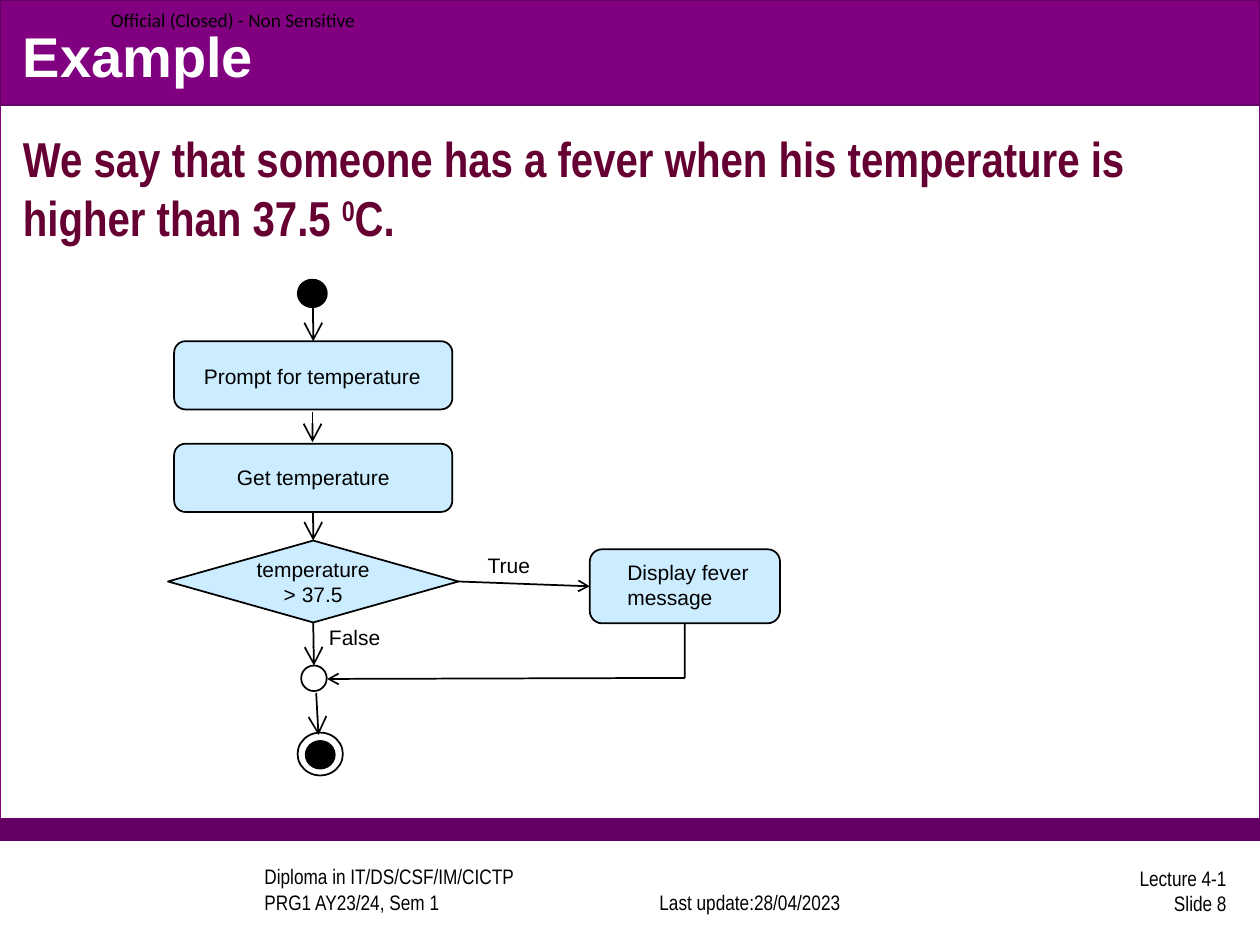
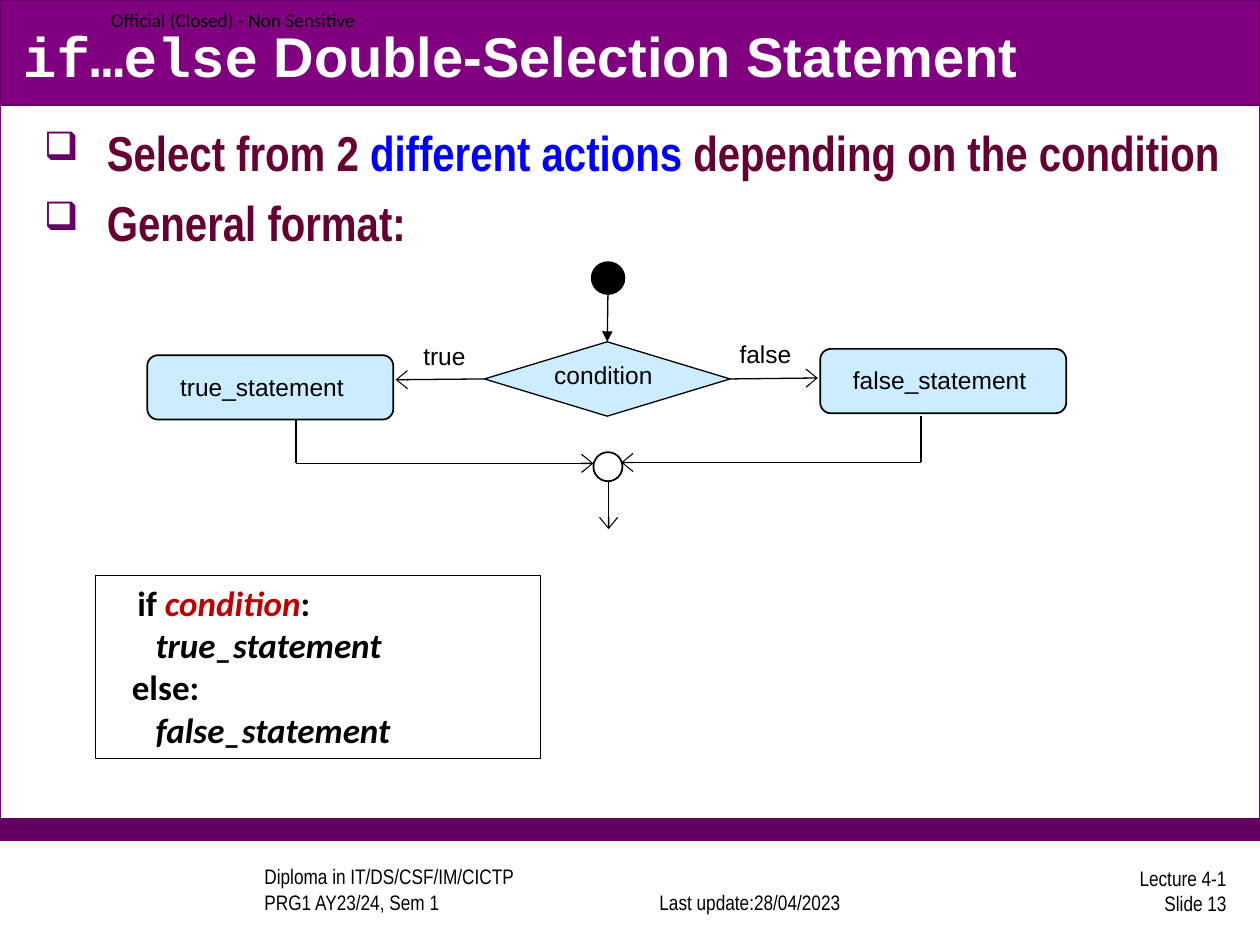
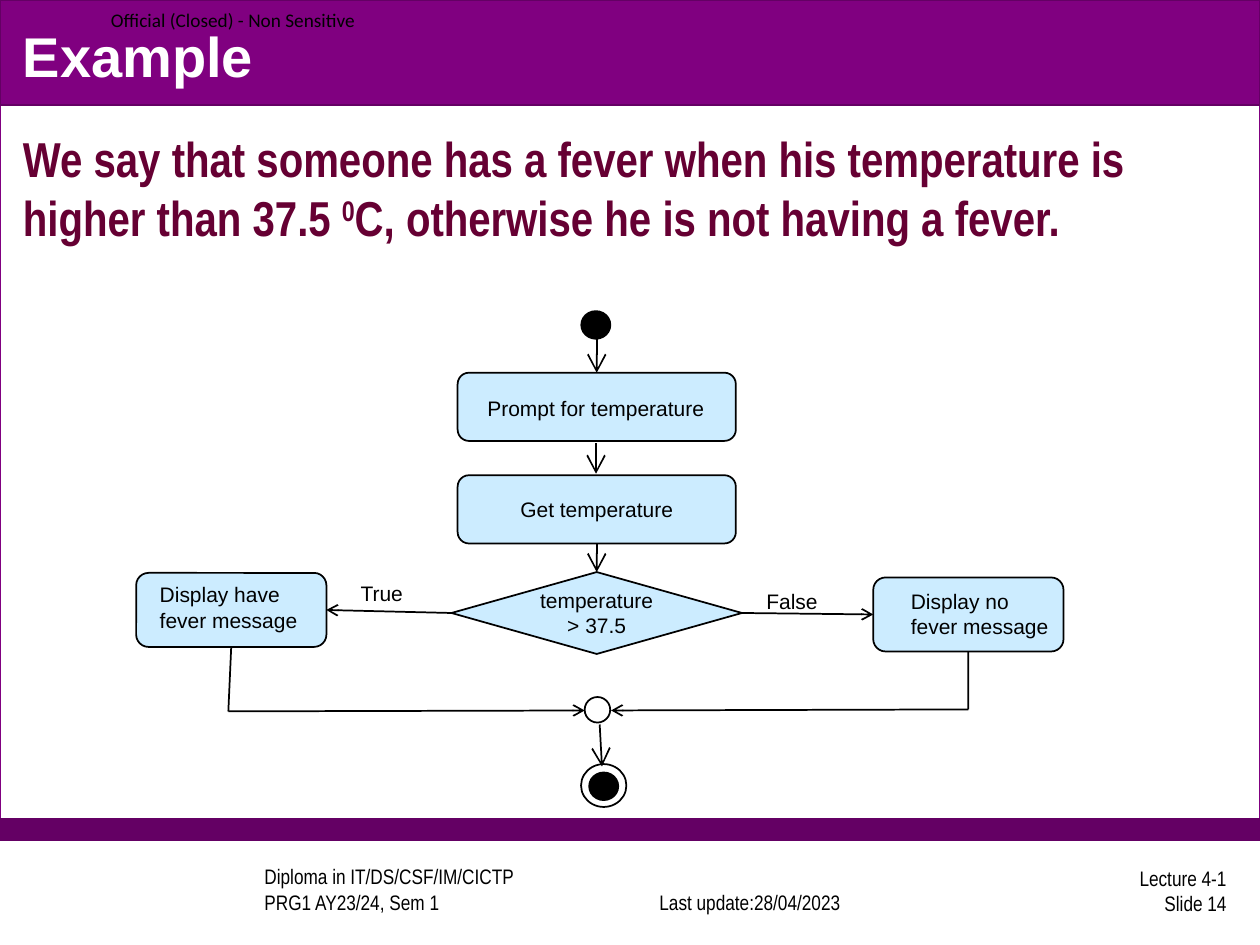
from lxml import etree
from pptx import Presentation
from pptx.dml.color import RGBColor
from pptx.enum import shapes as sh, text as tx
from pptx.oxml import ns
from pptx.util import Pt

PURPLE = RGBColor(0x80, 0x00, 0x80)
DARK_PURPLE = RGBColor(0x64, 0x00, 0x64)
PLUM = RGBColor(0x66, 0x00, 0x33)
SKY = RGBColor(0xCC, 0xEC, 0xFF)
BLUE = RGBColor(0x00, 0x00, 0xFF)
RED = RGBColor(0xC0, 0x00, 0x00)
BLACK = RGBColor(0x00, 0x00, 0x00)
WHITE = RGBColor(0xFF, 0xFF, 0xFF)

BODY_FONT = "Arial Narrow"
KIND = sh.MSO_SHAPE
ALIGN = tx.PP_ALIGN
ANCHOR = tx.MSO_ANCHOR
LARGE = ("lg", "lg")
MEDIUM = ("med", "med")
WIDE = ("lg", "med")


def style(r, size, color=BLACK, font="Arial", bold=False, italic=False, raised=False):
    f = r.font
    f.size, f.name, f.bold, f.italic = Pt(size), font, bold, italic
    f.color.rgb = color
    if raised:
        r._r.get_or_add_rPr().set("baseline", "30000")


def add_runs(p, runs, **base):
    for content, changes in runs:
        r = p.add_run()
        r.text = content
        style(r, **{**base, **changes})


def text_box(s, x, y, w, h, anchor=ANCHOR.TOP, wrap=True, inset=True):
    tf = s.shapes.add_textbox(Pt(x), Pt(y), Pt(w), Pt(h)).text_frame
    tf.word_wrap, tf.vertical_anchor = wrap, anchor
    if not inset:
        tf.margin_left = tf.margin_right = tf.margin_top = tf.margin_bottom = 0
    return tf


def label(s, text, x, y, w, h=21.6, size=12, font="Arial", align=ALIGN.LEFT, **options):
    p = text_box(s, x, y, w, h, **options).paragraphs[0]
    p.text = text
    p.alignment = align
    for r in p.runs:
        style(r, size, font=font)


def shape(s, kind, x, y, w, h, fill=None, line=BLACK, width=1):
    sp = s.shapes.add_shape(kind, Pt(x), Pt(y), Pt(w), Pt(h))
    sp.shadow.inherit = False
    if fill is None:
        sp.fill.background()
    else:
        sp.fill.solid()
        sp.fill.fore_color.rgb = fill
    sp.line.color.rgb = line
    sp.line.width = Pt(width)
    return sp


def circle(s, cx, cy, w, h, fill=None):
    return shape(s, KIND.OVAL, cx - w / 2, cy - h / 2, w, h, fill)


def connect(s, begin, end, size=None, head="arrow", width=1):
    joined = [not isinstance(e[0], (int, float)) for e in (begin, end)]
    (x1, y1), (x2, y2) = [(0, 0) if j else e for j, e in zip(joined, (begin, end))]
    c = s.shapes.add_connector(sh.MSO_CONNECTOR.STRAIGHT, Pt(x1), Pt(y1), Pt(x2), Pt(y2))
    if joined[0]:
        c.begin_connect(*begin)
    if joined[1]:
        c.end_connect(*end)
    c.line.color.rgb = BLACK
    c.line.width = Pt(width)
    if size:
        tail = etree.SubElement(c.line._get_or_add_ln(), ns.qn("a:tailEnd"))
        tail.set("type", head)
        tail.set("w", size[0])
        tail.set("len", size[1])
    etree.SubElement(c._element.spPr, ns.qn("a:effectLst"))


def elbow(s, begin, corner, tip, size=MEDIUM, width=1):
    connect(s, begin, corner, width=width)
    connect(s, corner, tip, size, width=width)


def add_bullet(p):
    pPr = p._p.get_or_add_pPr()
    pPr.set("marL", str(Pt(36)))
    pPr.set("indent", str(Pt(-36)))
    color = etree.SubElement(pPr, ns.qn("a:buClr"))
    etree.SubElement(color, ns.qn("a:srgbClr")).set("val", "660066")
    etree.SubElement(pPr, ns.qn("a:buSzPct")).set("val", "80000")
    etree.SubElement(pPr, ns.qn("a:buChar")).set("char", "❑")


def add_slide(prs, number, title):
    s = prs.slides.add_slide(prs.slide_layouts[6])
    shape(s, KIND.RECTANGLE, 0, 0, 720, 480, WHITE, PURPLE, 0.75)
    shape(s, KIND.RECTANGLE, 0, 468, 720, 12, DARK_PURPLE, DARK_PURPLE, 0.75)
    shape(s, KIND.RECTANGLE, 0, 0, 720, 60, PURPLE, DARK_PURPLE, 0.75)
    label(s, "Diploma in IT/DS/CSF/IM/CICTP\nPRG1 AY23/24, Sem 1", 144, 496, 192, 30,
          font=BODY_FONT, anchor=ANCHOR.BOTTOM)
    label(s, "Last update:28/04/2023", 353.5, 496, 150, 30,
          font=BODY_FONT, align=ALIGN.CENTER, anchor=ANCHOR.BOTTOM)
    label(s, f"Lecture 4-1\nSlide {number}", 558, 494, 150, 30,
          font=BODY_FONT, align=ALIGN.RIGHT, anchor=ANCHOR.MIDDLE)
    label(s, "Official (Closed) - Non Sensitive", 63.4, 0, 153.4, 22.3, size=11,
          font="Calibri", anchor=ANCHOR.MIDDLE, inset=False)
    tf = text_box(s, 6, 9.4, 708, 44.6, ANCHOR.MIDDLE)
    add_runs(tf.paragraphs[0], title, size=32, color=WHITE, bold=True)
    return s


def add_statement(s, ending):
    p = text_box(s, 6, 70, 708, 392).paragraphs[0]
    add_runs(p, [("We say that someone has a fever when his temperature is higher than 37.5 ", {}),
                 ("0", {"raised": True}), (ending, {})],
             size=28, color=PLUM, font=BODY_FONT, bold=True)


def add_fever_flow(s, dx, dy):
    cx = 179 + dx
    circle(s, cx - 0.5, 167.7 + dy, 16.6, 15.8, BLACK)
    prompt, get = [shape(s, KIND.ROUNDED_RECTANGLE, cx - 79.5, y + dy, 159, 39, SKY)
                   for y in (195, 253.6)]
    label(s, "Prompt for temperature", 109.4 + dx, 204.5 + dy, 162)
    label(s, "Get temperature", cx - 79.5, 262.1 + dy, 159, align=ALIGN.CENTER)
    decision = shape(s, KIND.DIAMOND, cx - 83, 308.9 + dy, 166, 46.8, SKY)
    tf = decision.text_frame
    tf.word_wrap, tf.vertical_anchor = True, ANCHOR.MIDDLE
    p = tf.paragraphs[0]
    p.text, p.alignment = "temperature > 37.5", ALIGN.CENTER
    style(p.runs[0], 12)
    circle(s, cx + 0.4, 387.6 + dy, 14.6, 14.6)
    circle(s, cx + 4, 430.9 + dy, 25.9, 24.5)
    circle(s, cx + 4, 431.3 + dy, 16.6, 15.8, BLACK)
    connect(s, (cx, 176 + dy), (prompt, 0), LARGE)
    connect(s, (cx - 0.4, 235.4 + dy), (cx - 0.4, 252.7 + dy), LARGE)
    connect(s, (get, 2), (decision, 0), LARGE)
    connect(s, (cx + 1.7, 396 + dy), (cx + 3, 420 + dy), LARGE)
    return decision


def add_outcome(s, text, x, y, text_x, text_y):
    box = shape(s, KIND.ROUNDED_RECTANGLE, x, y, 108.7, 42.3, SKY)
    label(s, text, text_x, text_y, 99.4, 36)
    return box


def add_answer(s, text, x, y, w):
    label(s, text, x, y, w, align=ALIGN.CENTER, wrap=False)


def add_single_selection(prs):
    s = add_slide(prs, 8, [("Example", {})])
    add_statement(s, "C.")
    decision = add_fever_flow(s, 0, 0)
    fever = add_outcome(s, "Display fever message", 337, 313.9, 351.4, 316.1)
    connect(s, (decision, 3), (fever, 1), MEDIUM)
    connect(s, (decision, 2), (179.4, 380.3), LARGE)
    add_answer(s, "True", 271.4, 312.5, 38.9)
    add_answer(s, "False", 180.7, 353.5, 43.9)
    elbow(s, (fever, 2), (391.3, 387.4), (187, 388))


def add_double_selection(prs):
    s = add_slide(prs, 13, [("if…else", {"font": "Courier New"}),
                            (" Double-Selection Statement", {})])
    tf = text_box(s, 18, 66.2, 690, 408)
    points = [[("Select from 2 ", {}), ("different actions ", {"color": BLUE}),
               ("depending on the condition", {})],
              [("General format:", {})]]
    for i, runs in enumerate(points):
        p = tf.add_paragraph() if i else tf.paragraphs[0]
        p.alignment = ALIGN.JUSTIFY
        if i:
            p.space_before = Pt(6.4)
        add_bullet(p)
        add_runs(p, runs, size=28, color=PLUM, font=BODY_FONT, bold=True)

    code = shape(s, KIND.RECTANGLE, 54.7, 329, 254.2, 104.4, WHITE, width=0.75)
    tf = code.text_frame
    tf.word_wrap, tf.vertical_anchor = True, ANCHOR.TOP
    lines = [[("   ", {"font": "Arial", "bold": False}), ("if ", {}),
              ("condition", {"color": RED, "italic": True}), (":", {})],
             [("      true_statement", {"italic": True})],
             [("   else:", {})],
             [("      false_statement", {"italic": True})]]
    for i, runs in enumerate(lines):
        p = tf.add_paragraph() if i else tf.paragraphs[0]
        p.alignment = ALIGN.LEFT
        add_runs(p, runs, size=20, font="Calibri", bold=True)

    decision = shape(s, KIND.FLOWCHART_DECISION, 276.8, 195.3, 140.4, 42.5, SKY, width=0.75)
    label(s, "condition", 309.6, 202.3, 82, 28.8, size=14)
    circle(s, 347.5, 158.9, 18.7, 18.2, BLACK)
    circle(s, 347.4, 266.7, 16.6, 16.6)
    for text, x, y in (("true_statement", 84.2, 203), ("false_statement", 468.7, 199.4)):
        shape(s, KIND.ROUNDED_RECTANGLE, x, y, 140.6, 36.8, SKY)
        label(s, text, x + 11.6, y + 5.8, 131, 24.5, size=14)
    label(s, "true", 241.9, 195.1, 33.8, size=14, inset=False)
    label(s, "false", 422.6, 193.7, 42.5, size=14, inset=False)
    connect(s, (347.4, 168.5), (decision, 0), MEDIUM, "triangle", 0.75)
    connect(s, (decision, 1), (226.1, 217), WIDE, width=0.75)
    connect(s, (decision, 3), (467.3, 216), WIDE, width=0.75)
    elbow(s, (169.2, 239.8), (169.2, 264.8), (339.1, 264.8), WIDE, 0.75)
    elbow(s, (526.3, 237.6), (526.3, 264.3), (355, 264.3), WIDE, 0.75)
    connect(s, (347.8, 275), (347.8, 302.4), WIDE, width=0.75)


def add_two_outcomes(prs):
    s = add_slide(prs, 14, [("Example", {})])
    add_statement(s, "C, otherwise he is not having a fever.")
    decision = add_fever_flow(s, 162, 18)
    fever = add_outcome(s, "Display have fever message", 77.8, 327.4, 84.2, 329)
    no_fever = add_outcome(s, "Display no fever message", 499, 330, 513.4, 332.6)
    connect(s, (decision, 1), (fever, 3), MEDIUM)
    connect(s, (decision, 3), (no_fever, 1), MEDIUM)
    add_answer(s, "True", 198.7, 328.3, 38.9)
    add_answer(s, "False", 430.6, 332.6, 43.9)
    elbow(s, (fever, 2), (130.5, 406.5), (334.1, 406))
    elbow(s, (no_fever, 2), (553.3, 405.4), (349.2, 406))


def main():
    prs = Presentation()
    prs.slide_width, prs.slide_height = Pt(720), Pt(540)
    add_single_selection(prs)
    add_double_selection(prs)
    add_two_outcomes(prs)
    prs.save("out.pptx")


if __name__ == "__main__":
    main()
